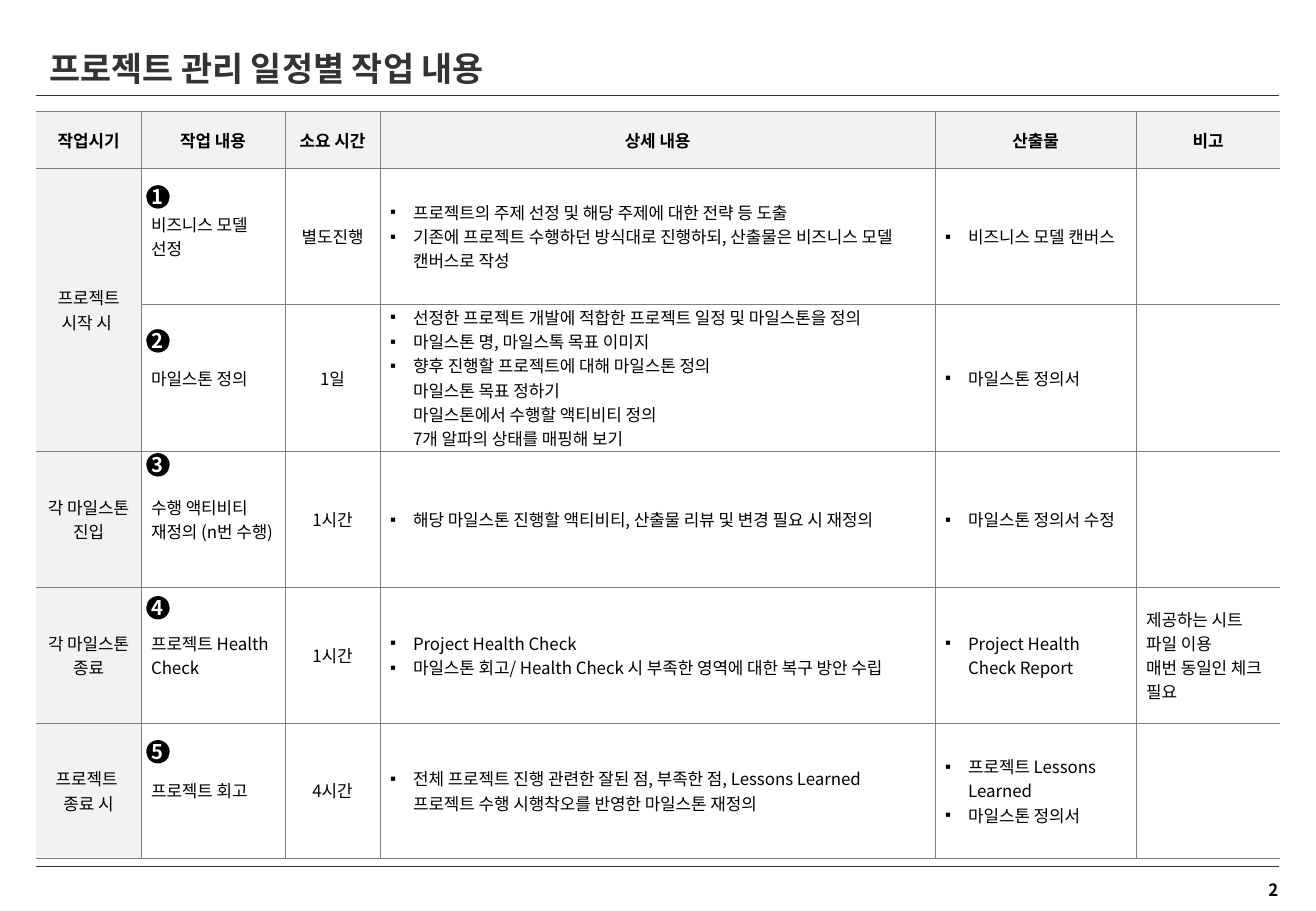
import copy

import pptx
import pptx.dml.color
import pptx.enum.shapes
import pptx.enum.text
import pptx.oxml
import pptx.oxml.ns
import pptx.util

EMU_PER_PIXEL = 914400 / 121.5
FONT = "Noto Sans CJK KR"
COLORS = {
    "title": "333333",
    "text": "000000",
    "label_fill": "F2F2F2",
    "grid": "808080",
    "badge": "000000",
    "badge_text": "FFFFFF",
}
ALIGN = pptx.enum.text.PP_ALIGN
MIDDLE = pptx.enum.text.MSO_ANCHOR.MIDDLE

COLUMN_WIDTHS = [105, 144, 95, 555, 201, 144]
# The milestone definition row is taller to hold its six lines.
ROW_HEIGHTS = [57, 136, 147, 136, 136, 135]
BULLET_COLUMNS = (3, 4)
CENTERED_COLUMNS = (0, 2)
BADGE_TOPS = [187, 331, 455, 598, 742]

# Each cell is a list of paragraphs; "\v" is a line break within a paragraph.
HEADERS = ["작업시기", "작업 내용", "소요 시간", "상세 내용", "산출물", "비고"]
TASKS = [
    [["프로젝트", "시작 시 "], ["비즈니스 모델 선정"], ["별도진행"],
     ["프로젝트의 주제 선정 및 해당 주제에 대한 전략 등 도출",
      "기존에 프로젝트 수행하던 방식대로 진행하되, 산출물은 비즈니스 모델 캔버스로 작성"],
     ["비즈니스 모델 캔버스"], []],
    [[], ["마일스톤 정의"], ["1일"],
     ["선정한 프로젝트 개발에 적합한 프로젝트 일정 및 마일스톤을 정의",
      "마일스톤 명, 마일스톡 목표 이미지 ",
      "향후 진행할 프로젝트에 대해 마일스톤 정의\v마일스톤 목표 정하기 \v"
      "마일스톤에서 수행할 액티비티 정의\v7개 알파의 상태를 매핑해 보기"],
     ["마일스톤 정의서"], []],
    [["각 마일스톤", "진입"], ["수행 액티비티 재정의 (n번 수행)"], ["1시간"],
     ["해당 마일스톤 진행할 액티비티, 산출물 리뷰 및 변경 필요 시 재정의"],
     ["마일스톤 정의서 수정"], []],
    [["각 마일스톤 종료"], ["프로젝트 Health Check"], ["1시간"],
     ["Project Health Check ",
      "마일스톤 회고/ Health Check 시 부족한 영역에 대한 복구 방안 수립"],
     ["Project Health Check Report"],
     ["제공하는 시트 파일 이용\v매번 동일인 체크 필요"]],
    [["프로젝트 ", "종료 시"], ["프로젝트 회고"], ["4시간"],
     ["전체 프로젝트 진행 관련한 잘된 점, 부족한 점, Lessons Learned\v"
      "프로젝트 수행 시행착오를 반영한 마일스톤 재정의"],
     ["프로젝트 Lessons Learned", "마일스톤 정의서"], []],
]


def px(length):
    """Turn pixels into EMU."""
    return pptx.util.Emu(round(length * EMU_PER_PIXEL))


def color(name):
    """Look up a named colour."""
    return pptx.dml.color.RGBColor.from_string(COLORS[name])


def add_element(parent, tag, **attributes):
    """Append a DrawingML child element and return it."""
    element = pptx.oxml.parse_xml(f"<{tag} {pptx.oxml.ns.nsdecls('a')}/>")
    for name, value in attributes.items():
        element.set(name, str(value))
    parent.append(element)
    return element


def set_margins(target, left, top, right, bottom):
    """Set the insets of a text frame or table cell, in pixels."""
    target.margin_left, target.margin_top = px(left), px(top)
    target.margin_right, target.margin_bottom = px(right), px(bottom)


def format_paragraph(paragraph, size, color_name, bold=False, align=ALIGN.LEFT):
    """Format the runs and line breaks of a paragraph alike, without kerning."""
    paragraph.alignment = align
    for run in paragraph.runs:
        run.font.name = FONT
        run.font.size = pptx.util.Pt(size)
        run.font.bold = bold
        run.font.color.rgb = color(color_name)
        run.font._element.set("kern", "0")
        add_element(run.font._element, "a:ea", typeface=FONT)
    for line_break in paragraph._p.findall(pptx.oxml.ns.qn("a:br")):
        line_break.append(copy.deepcopy(paragraph.runs[0].font._element))


def add_bullet(paragraph):
    """Give a paragraph a hanging square bullet."""
    properties = paragraph._p.get_or_add_pPr()
    properties.set("marL", str(px(23)))
    properties.set("indent", str(-px(23)))
    add_element(properties, "a:buFont", typeface="Arial")
    add_element(properties, "a:buChar", char="▪")


def set_borders(cell, open_sides):
    """Draw thin grid lines around a cell, except on its open sides."""
    properties = cell._tc.get_or_add_tcPr()
    for index, side in enumerate("LRTB"):
        line = add_element(properties, f"a:ln{side}", w=pptx.util.Pt(0.25))
        if side in open_sides:
            add_element(line, "a:noFill")
        else:
            fill = add_element(line, "a:solidFill")
            add_element(fill, "a:srgbClr", val=COLORS["grid"])
        properties.insert(index, line)


def fill_cell(cell, paragraphs, shaded, bold, align, bulleted):
    """Write and format the paragraphs of one table cell."""
    cell.vertical_anchor = MIDDLE
    set_margins(cell, 10, 1, 10, 0)
    if shaded:
        cell.fill.solid()
        cell.fill.fore_color.rgb = color("label_fill")
    else:
        cell.fill.background()
    for index, text in enumerate(paragraphs):
        frame = cell.text_frame
        paragraph = frame.add_paragraph() if index else frame.paragraphs[0]
        paragraph.text = text
        format_paragraph(paragraph, 10, "text", bold, align)
        if bulleted:
            add_bullet(paragraph)


def add_schedule_table(slide):
    """Add the table of tasks per project phase."""
    rows = [[[header] for header in HEADERS]] + TASKS
    table = slide.shapes.add_table(
        len(rows), len(HEADERS), px(36), px(111),
        px(sum(COLUMN_WIDTHS)), px(sum(ROW_HEIGHTS))).table
    table.first_row = table.horz_banding = False
    for column, width in zip(table.columns, COLUMN_WIDTHS):
        column.width = px(width)
    for row, height in zip(table.rows, ROW_HEIGHTS):
        row.height = px(height)
    table.cell(1, 0).merge(table.cell(2, 0))

    last_column = len(HEADERS) - 1
    for row_index, row in enumerate(rows):
        is_header = row_index == 0
        for column_index, paragraphs in enumerate(row):
            cell = table.cell(row_index, column_index)
            centered = is_header or column_index in CENTERED_COLUMNS
            fill_cell(cell, paragraphs, is_header or column_index == 0, is_header,
                      ALIGN.CENTER if centered else ALIGN.LEFT,
                      not is_header and column_index in BULLET_COLUMNS)
            set_borders(cell, {0: "L", last_column: "R"}.get(column_index, ""))


def add_title(slide, text):
    """Place the slide title."""
    title = slide.shapes.title
    title.left, title.top, title.width, title.height = px(37), px(50), px(810), px(36)
    frame = title.text_frame
    frame.text = text
    frame.vertical_anchor = MIDDLE
    frame.auto_size = pptx.enum.text.MSO_AUTO_SIZE.NONE
    format_paragraph(frame.paragraphs[0], 20, "title", bold=True)


def add_rule(slide, top):
    """Add a thin horizontal rule across the slide."""
    rule = slide.shapes.add_connector(
        pptx.enum.shapes.MSO_CONNECTOR.STRAIGHT, px(36), px(top), px(1279), px(top))
    rule.line.color.rgb = color("title")
    rule.line.width = pptx.util.Pt(0.5)
    add_element(rule._element.spPr, "a:effectLst")


def add_badge(slide, number, top):
    """Add a numbered black circle."""
    badge = slide.shapes.add_shape(
        pptx.enum.shapes.MSO_SHAPE.OVAL, px(148), px(top), px(20), px(20))
    badge.shadow.inherit = False
    badge.fill.solid()
    badge.fill.fore_color.rgb = color("badge")
    badge.line.color.rgb = color("badge")
    badge.line.width = pptx.util.Pt(2)
    frame = badge.text_frame
    frame.text = str(number)
    frame.word_wrap = False
    frame.vertical_anchor = MIDDLE
    set_margins(frame, 0, 0, 0, 0)
    format_paragraph(frame.paragraphs[0], 12, "badge_text", True, ALIGN.CENTER)


def add_page_number(slide, number):
    """Add the page number at the bottom right."""
    frame = slide.shapes.add_textbox(px(1243), px(874), px(47), px(33)).text_frame
    frame.text = str(number)
    frame.word_wrap = True
    format_paragraph(frame.paragraphs[0], 10, "text", True, ALIGN.RIGHT)


def main():
    """Build and save the slide."""
    presentation = pptx.Presentation()
    presentation.slide_width = pptx.util.Inches(10.83)
    presentation.slide_height = pptx.util.Inches(7.5)
    slide = presentation.slides.add_slide(presentation.slide_layouts[5])
    add_title(slide, "프로젝트 관리 일정별 작업 내용 ")
    for top in (95, 867):
        add_rule(slide, top)
    add_page_number(slide, 2)
    add_schedule_table(slide)
    for number, top in enumerate(BADGE_TOPS, start=1):
        add_badge(slide, number, top)
    presentation.save("out.pptx")


main()
